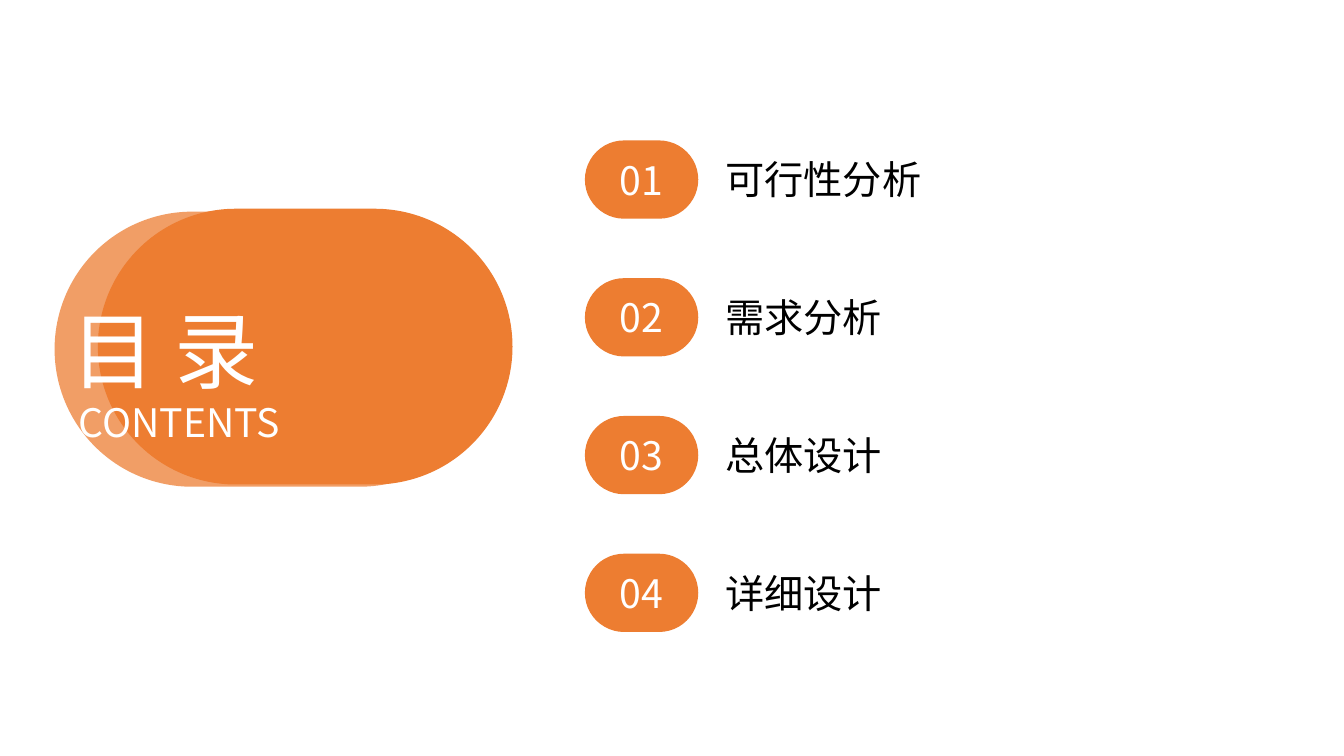
from lxml import etree
from pptx import Presentation
from pptx.dml.color import RGBColor
from pptx.enum.shapes import MSO_SHAPE
from pptx.enum.text import MSO_ANCHOR, MSO_AUTO_SIZE, PP_ALIGN
from pptx.oxml.ns import qn
from pptx.util import Pt

PILL = MSO_SHAPE.ROUNDED_RECTANGLE
MIDDLE = MSO_ANCHOR.MIDDLE
GROW = MSO_AUTO_SIZE.SHAPE_TO_FIT_TEXT
LEFT, CENTER, JUSTIFY = PP_ALIGN.LEFT, PP_ALIGN.CENTER, PP_ALIGN.JUSTIFY

TITLE, SUBTITLE = "目 录", "CONTENTS"
CHAPTERS = ["可行性分析", "需求分析", "总体设计", "详细设计"]

FONT = "Noto Sans CJK SC"
ORANGE, WHITE, BLACK = "ED7D31", "FFFFFF", "000000"
TOP, PITCH = 100.8, 98.4
BADGE_X, BADGE_W, BADGE_H = 418.3, 80, 54.9
LABEL_X, LABEL_W, LABEL_H = 511.2, 285.1, 41


def rgb(value):
    return RGBColor.from_string(value)


def write(tf, text, size, color, align):
    p = tf.paragraphs[0]
    p.text = text
    p.alignment = align
    font = p.font
    font.size = Pt(size)
    font.name = FONT
    font.color.rgb = rgb(color)
    props = p._p.pPr.find(qn("a:defRPr"))
    etree.SubElement(props, qn("a:ea"), typeface=FONT)


def add_pill(s, x, y, w, h, alpha=None):
    sp = s.shapes.add_shape(PILL, Pt(x), Pt(y), Pt(w), Pt(h))
    sp.shadow.inherit = False
    sp.adjustments[0] = 0.5
    sp.fill.solid()
    sp.fill.fore_color.rgb = rgb(ORANGE)
    if alpha is None:
        sp.line.color.rgb = rgb(ORANGE)
        sp.line.width = Pt(1)
    else:
        sp.line.fill.background()
        color = sp._element.spPr.find(qn("a:solidFill"))[0]
        etree.SubElement(color, qn("a:alpha"), val=str(alpha * 1000))
    return sp


def add_text(s, x, y, w, h, text, size, color, align=LEFT, wrap=False):
    tf = s.shapes.add_textbox(Pt(x), Pt(y), Pt(w), Pt(h)).text_frame
    tf.word_wrap = wrap
    tf.auto_size = GROW
    write(tf, text, size, color, align)


prs = Presentation()
prs.slide_width, prs.slide_height = Pt(960), Pt(540)
s = prs.slides.add_slide(prs.slide_layouts[6])

add_pill(s, 39, 151.2, 316, 196.5, alpha=74)
add_pill(s, 70.4, 149.6, 295.2, 196)

for i, chapter in enumerate(CHAPTERS):
    y = TOP + i * PITCH
    badge = add_pill(s, BADGE_X, y, BADGE_W, BADGE_H)
    badge.text_frame.vertical_anchor = MIDDLE
    write(badge.text_frame, f"{i + 1:02}", 28, WHITE, CENTER)
    add_text(s, LABEL_X, y + (BADGE_H - LABEL_H) / 2, LABEL_W, LABEL_H,
             chapter, 28, BLACK, JUSTIFY, wrap=True)

add_text(s, 43.9, 209.5, 153.4, 80, TITLE, 60, WHITE)
add_text(s, 49, 280.8, 166.3, 41, SUBTITLE, 28, WHITE)

prs.save("out.pptx")
